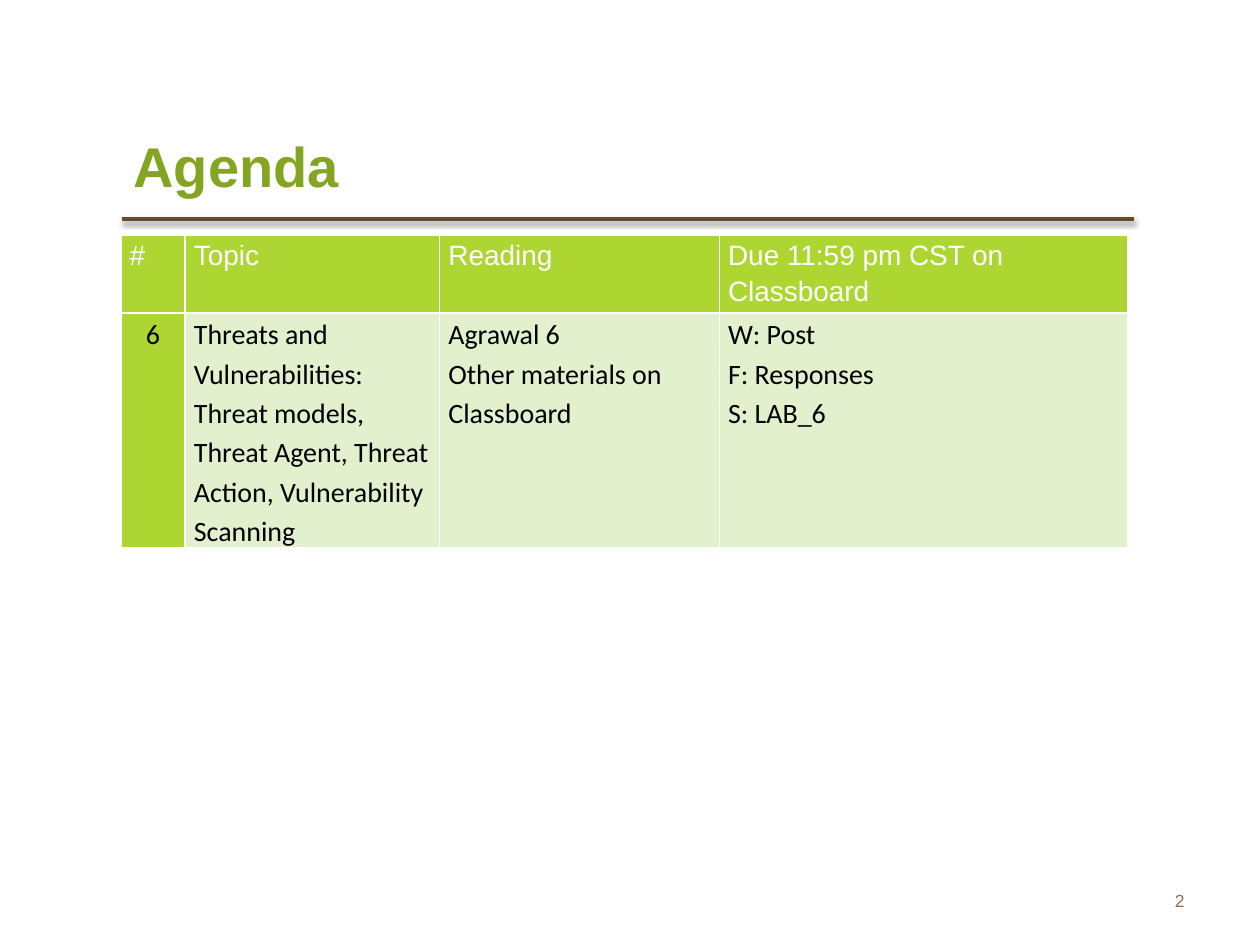
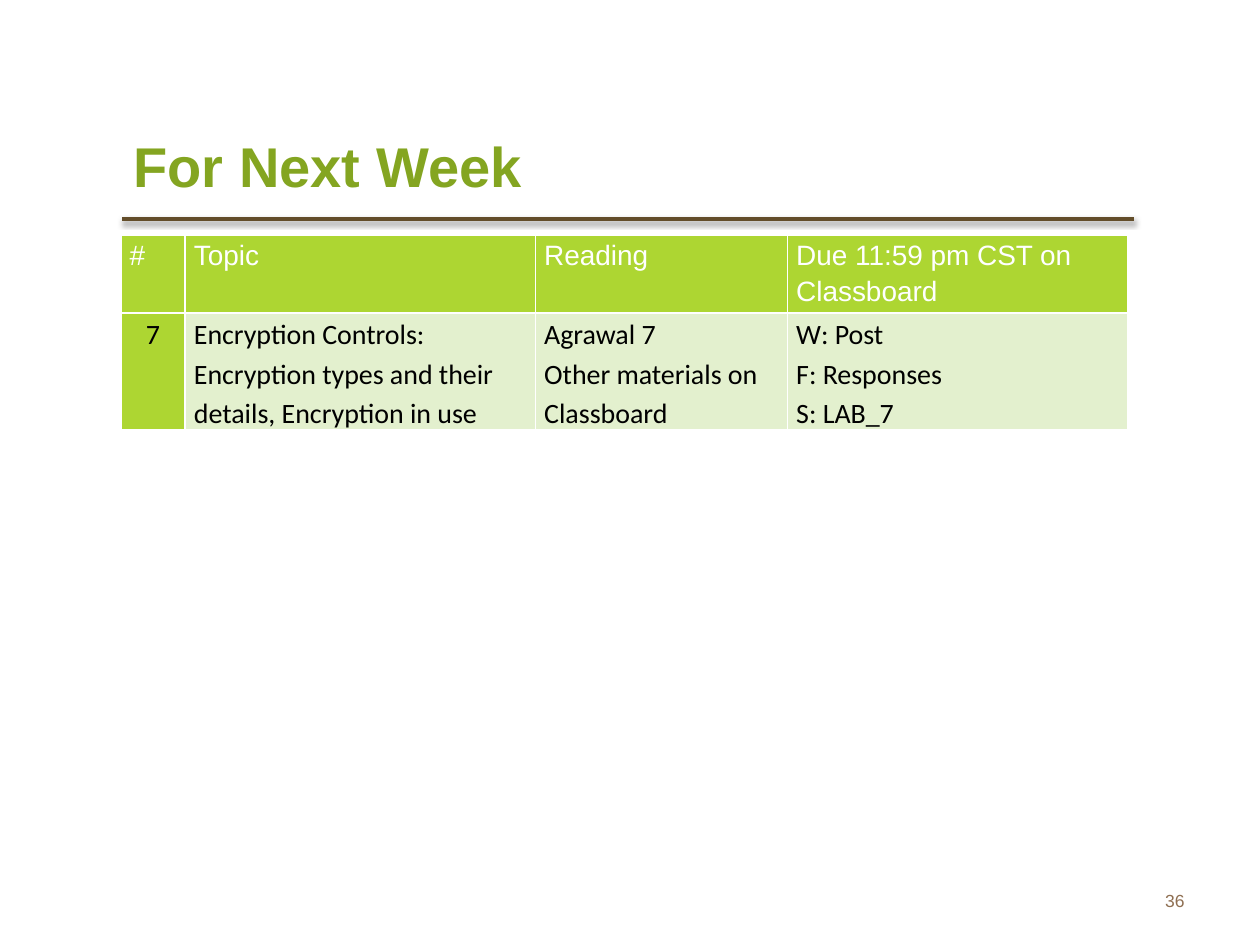
from lxml.etree import SubElement
from pptx import Presentation
from pptx.dml.color import RGBColor
from pptx.enum.text import MSO_ANCHOR as Anchor, PP_ALIGN as Align
from pptx.enum.shapes import MSO_CONNECTOR as Connector
from pptx.oxml import parse_xml
from pptx.oxml.ns import nsdecls, qn
from pptx.util import Pt

COLORS = {
    "title": "84A521",
    "rule": "634D2A",
    "number": "8F6F52",
    "header": "ADD632",
    "body": "E3F0CE",
    "white": "FFFFFF",
    "black": "000000",
}
HEADINGS = ["#", "Topic", "Reading", "Due 11:59 pm CST on Classboard"]
WEEKS = [
    {
        "title": "Agenda",
        "number": "2",
        "widths": [36.72, 145.44, 159.84, 233.28],
        "body_height": 134,
        "entries": [
            "6",
            "Threats and Vulnerabilities: Threat models, Threat Agent, "
            "Threat Action, Vulnerability Scanning",
            "Agrawal 6\nOther materials on Classboard",
            "W: Post\nF: Responses\nS: LAB_6",
        ],
    },
    {
        "title": "For Next Week",
        "number": "36",
        "widths": [36.72, 200.16, 144, 194.4],
        "body_height": 67,
        "entries": [
            "7",
            "Encryption Controls: Encryption types and their details, "
            "Encryption in use",
            "Agrawal 7\nOther materials on Classboard",
            "W: Post\nF: Responses\nS: LAB_7",
        ],
    },
]


def rgb(name):
    """Return the palette colour with this name."""
    return RGBColor.from_string(COLORS[name])


def write(frame, text, size=16, font="Arial", color="black", bold=False,
          align=Align.LEFT, spacing=1.0):
    """Fill a text frame with one paragraph for each line of text."""
    frame.word_wrap = True
    frame.text = text
    for paragraph in frame.paragraphs:
        paragraph.alignment = align
        paragraph.line_spacing = spacing
        paragraph.font.size = Pt(size)
        paragraph.font.name = font
        paragraph.font.bold = bold
        paragraph.font.color.rgb = rgb(color)


def add_title(slide, text):
    """Place and format the slide title."""
    title = slide.shapes.title
    title.left, title.top = Pt(69.12), Pt(61.92)
    title.width, title.height = Pt(415.44), Pt(64.8)
    title.text_frame.vertical_anchor = Anchor.MIDDLE
    write(title.text_frame, text, size=32, color="title", bold=True)


def add_rule(slide):
    """Draw the shadowed line under the title."""
    rule = slide.shapes.add_connector(
        Connector.STRAIGHT, Pt(69.84), Pt(125.28), Pt(648), Pt(125.28))
    rule.line.color.rgb = rgb("rule")
    rule.line.width = Pt(2)
    rule.element.spPr.append(parse_xml(
        f'<a:effectLst {nsdecls("a")}>'
        f'<a:outerShdw blurRad="{Pt(3.1)}" dist="{Pt(1.6)}" dir="5400000">'
        f'<a:srgbClr val="{COLORS["black"]}"><a:alpha val="38000"/></a:srgbClr>'
        '</a:outerShdw></a:effectLst>'))


def add_number(slide, number):
    """Put the slide number at the bottom right."""
    box = slide.shapes.add_textbox(Pt(516.24), Pt(500.4), Pt(167.76), Pt(28.8))
    box.text_frame.vertical_anchor = Anchor.MIDDLE
    write(box.text_frame, number, size=10, color="number", align=Align.RIGHT)


def format_cell(cell, fill):
    """Set the insets, white borders and fill of a table cell."""
    cell.margin_left = cell.margin_right = Pt(5.04)
    cell.margin_top = cell.margin_bottom = Pt(0)
    properties = cell._tc.get_or_add_tcPr()
    for side in ("a:lnL", "a:lnR", "a:lnT", "a:lnB"):
        border = SubElement(properties, qn(side), w=str(Pt(1)))
        solid = SubElement(border, qn("a:solidFill"))
        SubElement(solid, qn("a:srgbClr"), val=COLORS["white"])
    cell.fill.solid()
    cell.fill.fore_color.rgb = rgb(fill)


def add_schedule(slide, widths, body_height, entries):
    """Add the table with the week's topic, reading and due work."""
    heights = [40, body_height]
    schedule = slide.shapes.add_table(
        2, len(widths), Pt(69.12), Pt(134.64), Pt(sum(widths)),
        Pt(sum(heights))).table
    for row, height in zip(schedule.rows, heights):
        row.height = Pt(height)
    for index, width in enumerate(widths):
        schedule.columns[index].width = Pt(width)
        heading, entry = schedule.cell(0, index), schedule.cell(1, index)
        is_week = index == 0
        format_cell(heading, "header")
        write(heading.text_frame, HEADINGS[index], color="white", spacing=1.15)
        format_cell(entry, "header" if is_week else "body")
        write(entry.text_frame, entries[index], font="Calibri", spacing=1.15,
              align=Align.CENTER if is_week else Align.LEFT)


def main():
    """Build both schedule slides and save them."""
    deck = Presentation()
    deck.slide_width, deck.slide_height = Pt(720), Pt(540)
    for week in WEEKS:
        slide = deck.slides.add_slide(deck.slide_layouts[5])
        add_rule(slide)
        add_number(slide, week["number"])
        add_title(slide, week["title"])
        add_schedule(slide, week["widths"], week["body_height"],
                     week["entries"])
    deck.save("out.pptx")


if __name__ == "__main__":
    main()
